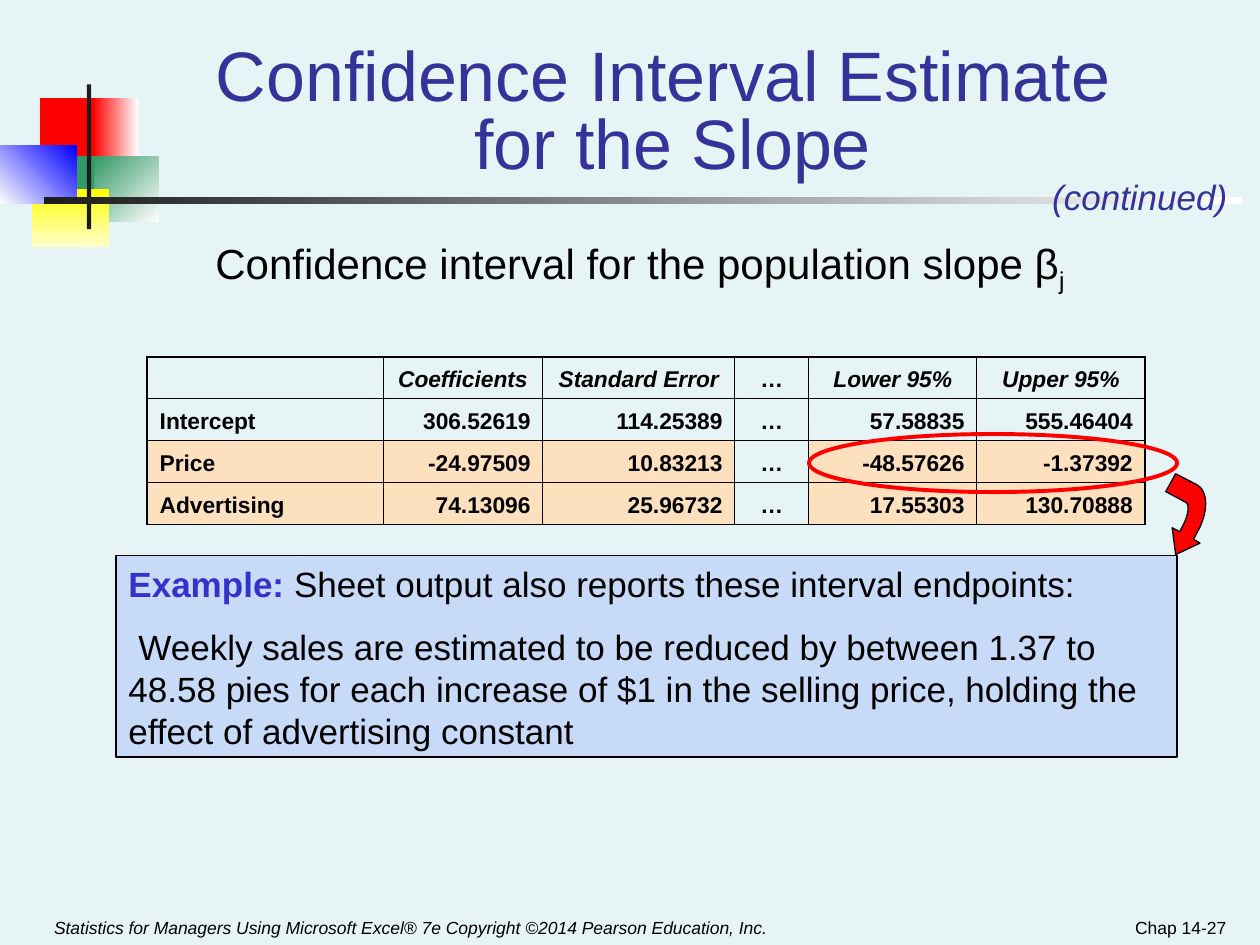
from copy import deepcopy
from dataclasses import dataclass

from lxml.etree import SubElement
from pptx import Presentation
from pptx.dml.color import RGBColor
from pptx.enum.shapes import MSO_SHAPE
from pptx.enum.text import MSO_ANCHOR, PP_ALIGN
from pptx.oxml.ns import qn
from pptx.util import Cm, Pt


@dataclass(frozen=True)
class Theme:
    font: str = "Arial"
    background: str = "E7F4F5"
    ink: str = "000000"
    title: str = "333399"
    accent: str = "3333CC"
    panel: str = "C7DAF7"
    highlight: str = "FDE0BD"
    red: str = "FF0000"
    green: str = "339966"
    yellow: str = "FFFF00"
    pale_yellow: str = "FFFFCC"
    blue: str = "0000FF"
    white: str = "FFFFFF"
    bar: str = "1C1C1C"
    title_size: float = 40
    lead_size: float = 24
    body_size: float = 20
    table_size: float = 13
    footer_size: float = 10
    outer_line: float = 1.08
    header_line: float = 0.75
    inner_line: float = 0.45


THEME = Theme()
HEADERS = ["", "Coefficients", "Standard Error", "…", "Lower 95%", "Upper 95%"]
ROWS = [
    ["Intercept", "306.52619", "114.25389", "…", "57.58835", "555.46404"],
    ["Price", "-24.97509", "10.83213", "…", "-48.57626", "-1.37392"],
    ["Advertising", "74.13096", "25.96732", "…", "17.55303", "130.70888"],
]
COLUMN_WIDTHS = [4.75, 3.22, 3.87, 1.49, 3.39, 3.39]


def rgb(color):
    return RGBColor.from_string(color)


def lengths(box):
    return [Cm(value) for value in box]


def add_text(p, text, size=THEME.body_size, color=THEME.ink, bold=False,
             italic=False, align=PP_ALIGN.LEFT, baseline=None):
    p.alignment = align
    for i, line in enumerate(text.split("\n")):
        if i:
            p.add_line_break()
            p._p[-1].append(deepcopy(r._r.rPr))
        r = p.add_run()
        r.text = line
        r.font.name = THEME.font
        r.font.size = Pt(size)
        r.font.bold, r.font.italic = bold, italic
        r.font.color.rgb = rgb(color)
        if baseline:
            r._r.get_or_add_rPr().set("baseline", str(baseline))


def set_insets(holder, anchor):
    holder.vertical_anchor = anchor
    holder.margin_left = holder.margin_right = Cm(0.25)
    holder.margin_top = holder.margin_bottom = Cm(0.13)


def set_frame(tf, anchor=MSO_ANCHOR.TOP, wrap=True):
    tf.word_wrap = wrap
    set_insets(tf, anchor)
    return tf.paragraphs[0]


def add_label(s, box, text, anchor=MSO_ANCHOR.TOP, wrap=True, **style):
    tf = s.shapes.add_textbox(*lengths(box)).text_frame
    p = set_frame(tf, anchor, wrap)
    add_text(p, text, **style)
    return p


def style_shape(sp, fill=None, line=None, width=1):
    sp.shadow.inherit = False
    if fill:
        sp.fill.solid()
        sp.fill.fore_color.rgb = rgb(fill)
    else:
        sp.fill.background()
    if line:
        sp.line.color.rgb = rgb(line)
        sp.line.width = Pt(width)
    else:
        sp.line.fill.background()


def add_emblem(s, left, top):
    t = THEME
    parts = [
        (0.81, 0.28, 1.22, 1.32, t.red, None, 0),
        (1.88, 0.28, 0.91, 1.32, t.red, t.white, 0),
        (1.9, 1.45, 1.3, 1.32, t.green, t.white, 45),
        (1.09, 1.45, 0.81, 1.32, t.green, None, 0),
        (0.64, 2.11, 1.55, 1.17, t.yellow, t.pale_yellow, 90),
        (0, 1.24, 1.55, 1.17, t.white, t.blue, 315),
        (1.75, 0, 0.09, 2.92, t.bar, None, 0),
        (0.89, 2.27, 24.14, 0.15, t.bar, t.white, 0),
    ]
    for x, y, w, h, start, end, angle in parts:
        box = lengths((left + x, top + y, w, h))
        sp = s.shapes.add_shape(MSO_SHAPE.RECTANGLE, *box)
        style_shape(sp, start)
        if end:
            sp.fill.gradient()
            sp.fill.gradient_angle = (360 - angle) % 360
            for stop, color in zip(sp.fill.gradient_stops, (start, end)):
                stop.color.rgb = rgb(color)


def add_title(s, box):
    sp = s.shapes.title
    sp.left, sp.top, sp.width, sp.height = lengths(box)
    p = set_frame(sp.text_frame, MSO_ANCHOR.BOTTOM)
    p.line_spacing = 0.8
    add_text(p, "Confidence Interval Estimate \nfor the Slope",
             size=THEME.title_size, color=THEME.title, align=PP_ALIGN.CENTER)


def add_border(cell, side, width):
    ln = SubElement(cell._tc.get_or_add_tcPr(), qn(f"a:ln{side}"), w=str(Pt(width)))
    fill = SubElement(ln, qn("a:solidFill"))
    SubElement(fill, qn("a:srgbClr"), val=THEME.ink)


def format_cell(cell, text, row, col):
    t = THEME
    last_row, last_col = len(ROWS), len(HEADERS) - 1
    widths = {
        "L": t.inner_line if col else t.outer_line,
        "R": t.outer_line if col == last_col else t.inner_line,
        "T": {0: t.outer_line, 1: t.header_line}.get(row, t.inner_line),
        "B": {0: t.header_line, last_row: t.outer_line}.get(row, t.inner_line),
    }
    for side, width in widths.items():
        add_border(cell, side, width)
    dots = HEADERS[col] == "…"
    if row > 1 and not dots:
        cell.fill.solid()
        cell.fill.fore_color.rgb = rgb(t.highlight)
    else:
        cell.fill.background()
    set_insets(cell, MSO_ANCHOR.BOTTOM)
    p = cell.text_frame.paragraphs[0]
    if not text:
        SubElement(p._p, qn("a:endParaRPr"), sz=str(int(t.table_size * 100)))
        return
    if row == 0 or dots:
        align = PP_ALIGN.CENTER
    else:
        align = PP_ALIGN.RIGHT if col else PP_ALIGN.LEFT
    add_text(p, text, size=t.table_size, bold=True, italic=row == 0 and not dots,
             align=align)


def add_results(s, box):
    data = [HEADERS] + ROWS
    table = s.shapes.add_table(len(data), len(HEADERS), *lengths(box)).table
    table.first_row = table.horz_banding = False
    for column, width in zip(table.columns, COLUMN_WIDTHS):
        column.width = Cm(width)
    for i, values in enumerate(data):
        table.rows[i].height = Cm(box[3] / len(data))
        for j, text in enumerate(values):
            format_cell(table.cell(i, j), text, i, j)
    ring = s.shapes.add_shape(
        MSO_SHAPE.OVAL, *lengths((box[0] + 13.34, box[1] + 1.56, 7.42, 1.17)))
    style_shape(ring, line=THEME.red, width=2.25)


def bezier(a, b, c, d, steps=12):
    for i in range(1, steps + 1):
        t = i / steps
        u = 1 - t
        yield tuple(u**3 * k + 3 * u * u * t * m + 3 * u * t * t * n + t**3 * q
                    for k, m, n, q in zip(a, b, c, d))


def add_arrow(s, left, top):
    points = [
        (0.2, 1.63), (0.69, 1.4), (0.56, 1.32), (0.64, 1.17),
        *bezier((0.64, 1.17), (0.86, 0.79), (0.86, 0.36), (0.64, 0.23)),
        (0.2, 0), (0, 0.36), (0.41, 0.58),
        *bezier((0.41, 0.58), (0.48, 0.64), (0.46, 0.81), (0.36, 1.02)),
        (0.28, 1.17), (0.13, 1.09),
    ]
    corners = [lengths((left + x, top + y)) for x, y in points]
    builder = s.shapes.build_freeform(*corners[0])
    builder.add_line_segments(corners[1:], close=True)
    style_shape(builder.convert_to_shape(), THEME.red, THEME.ink, 0.75)


def add_example(s, box):
    sp = s.shapes.add_shape(MSO_SHAPE.RECTANGLE, *lengths(box))
    style_shape(sp, THEME.panel, THEME.ink)
    p = set_frame(sp.text_frame)
    add_text(p, "Example:", color=THEME.accent, bold=True)
    add_text(p, " Sheet output also reports these interval endpoints:")
    p = sp.text_frame.add_paragraph()
    p.space_before = Pt(12.5)
    p._p.get_or_add_pPr().set("indent", str(Cm(0.2)))
    add_text(p, "Weekly sales are estimated to be reduced by between 1.37 to 48.58 "
                "pies for each increase of $1 in the selling price, holding the "
                "effect of advertising constant")


def main():
    prs = Presentation()
    prs.slide_width, prs.slide_height = Cm(25.4), Cm(19.05)
    s = prs.slides.add_slide(prs.slide_layouts[5])
    s.background.fill.solid()
    s.background.fill.fore_color.rgb = rgb(THEME.background)
    add_emblem(s, 0, 1.7)
    add_label(s, (0.84, 17.98, 15.04, 1.07),
              "Statistics for Managers Using Microsoft Excel® 7e "
              "Copyright ©2014 Pearson Education, Inc.",
              MSO_ANCHOR.BOTTOM, size=THEME.footer_size, italic=True)
    add_label(s, (19.05, 18.16, 5.92, 0.89), "Chap 14-27", MSO_ANCHOR.BOTTOM,
              size=THEME.footer_size, align=PP_ALIGN.RIGHT)
    add_title(s, (2.74, 0.84, 21.64, 2.97))
    lead = {"size": THEME.lead_size, "align": PP_ALIGN.CENTER}
    p = add_label(s, (2.74, 4.65, 20.32, 1.4),
                  "Confidence interval for the population slope β", **lead)
    add_text(p, "j", baseline=-25000, **lead)
    add_example(s, (2.34, 11.2, 21.39, 4.06))
    add_results(s, (2.97, 7.19, 20.11, 3.38))
    add_arrow(s, 23.5, 9.55)
    add_label(s, (20.96, 3.4, 4.04, 1.12), "(continued)", wrap=False,
              color=THEME.title, italic=True)
    prs.save("out.pptx")


if __name__ == "__main__":
    main()
